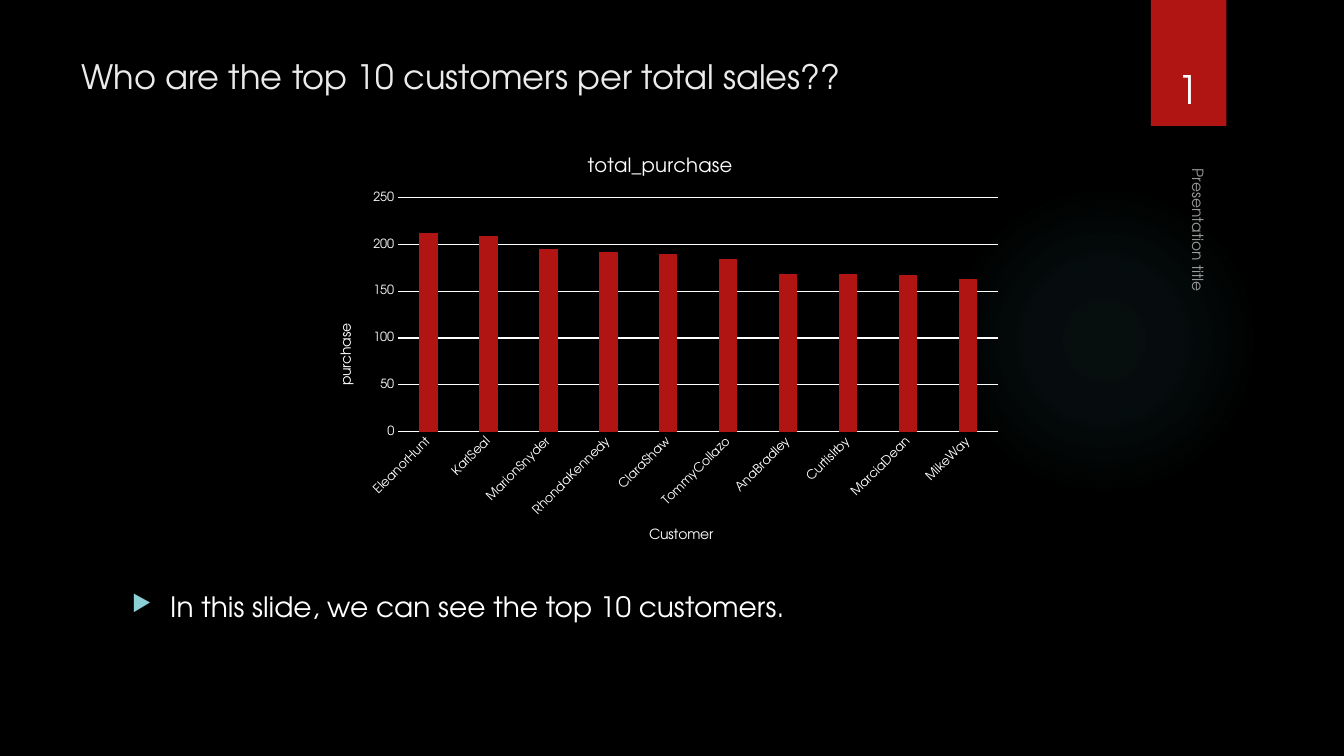
from lxml import etree
from pptx import Presentation
from pptx.chart.data import CategoryChartData
from pptx.dml.color import RGBColor
from pptx.enum.chart import XL_CHART_TYPE, XL_TICK_MARK
from pptx.enum.shapes import MSO_SHAPE
from pptx.enum.text import MSO_ANCHOR, PP_ALIGN
from pptx.oxml import parse_xml
from pptx.oxml.ns import nsdecls, qn
from pptx.util import Inches, Pt

COLUMN, NO_TICK = XL_CHART_TYPE.COLUMN_CLUSTERED, XL_TICK_MARK.NONE
RECTANGLE, OVAL = MSO_SHAPE.RECTANGLE, MSO_SHAPE.OVAL
TOP, BOTTOM = MSO_ANCHOR.TOP, MSO_ANCHOR.BOTTOM
LEFT, CENTER = PP_ALIGN.LEFT, PP_ALIGN.CENTER

FONT = "TeX Gyre Adventor"
BLACK, WHITE, PALE = "000000", "FFFFFF", "EBEBEB"
RED, TEAL, AQUA = "B01513", "50B9C1", "8AD0D6"
COLUMNS, ROWS = 80, 45

SALES = {
    "EleanorHunt": 212, "KarlSeal": 209, "MarionSnyder": 195,
    "RhondaKennedy": 192, "ClaraShaw": 190, "TommyCollazo": 184,
    "AnaBradley": 168, "CurtisIrby": 168, "MarciaDean": 167, "MikeWay": 163,
}

deck = Presentation()
deck.slide_width, deck.slide_height = Inches(13.33), Inches(7.5)


def rgb(value):
    """Turn a hex string into a colour."""
    return RGBColor.from_string(value)


def grid(column, row, columns, rows):
    """Turn grid columns and rows into a box of slide lengths."""
    across, down = deck.slide_width / COLUMNS, deck.slide_height / ROWS
    return (round(column * across), round(row * down),
            round(columns * across), round(rows * down))


def within(box, x, y, width, height):
    """Return a box given as shares of another box."""
    left, top, across, down = box
    return (round(left + x * across), round(top + y * down),
            round(width * across), round(height * down))


def style(font, size, color=WHITE):
    """Give a font the slide's typeface, a size and a colour."""
    font.name, font.size, font.bold = FONT, Pt(size), False
    font.color.rgb = rgb(color)


def write(holder, text, size, color=WHITE, anchor=TOP, align=LEFT):
    """Fill a text holder with one styled paragraph and return it."""
    frame = holder.text_frame
    frame.text = text
    frame.word_wrap, frame.vertical_anchor = True, anchor
    paragraph = frame.paragraphs[0]
    paragraph.alignment = align
    style(paragraph.runs[0].font, size, color)
    return paragraph


def add_glow(slide, box):
    """Draw the faint round glow behind the content."""
    glow = slide.shapes.add_shape(OVAL, *box)
    glow.shadow.inherit = False
    glow.line.fill.background()
    glow.fill.background()
    stops = "".join(
        f'<a:gs pos="{place * 1000}"><a:srgbClr val="{TEAL}">'
        f'<a:alpha val="{opacity * 1000}"/></a:srgbClr></a:gs>'
        for place, opacity in ((0, 7), (36, 6), (69, 0), (100, 0)))
    gradient = parse_xml(
        f'<a:gradFill {nsdecls("a")}><a:gsLst>{stops}</a:gsLst><a:path path="circle">'
        '<a:fillToRect l="50000" t="50000" r="50000" b="50000"/></a:path></a:gradFill>')
    properties = glow.element.spPr
    properties.replace(properties.find(qn("a:noFill")), gradient)


def add_side_tab(slide, box, number, footer):
    """Draw the red tab, its slide number and the sideways footer below."""
    tab = slide.shapes.add_shape(RECTANGLE, *box)
    tab.fill.solid()
    tab.fill.fore_color.rgb = rgb(RED)
    tab.line.fill.background()
    tab.shadow.inherit = False
    tab.element.spPr.find(qn("a:effectLst")).append(parse_xml(
        f'<a:outerShdw {nsdecls("a")} blurRad="{Pt(3)}" dist="{Pt(2)}" dir="5400000">'
        f'<a:srgbClr val="{BLACK}"><a:alpha val="45000"/></a:srgbClr></a:outerShdw>'))

    side_footer = slide.shapes.add_textbox(*within(box, -2.16, 2.82, 5.63, 0.26))
    side_footer.rotation = 90
    line = write(side_footer, footer, 11, anchor=BOTTOM)
    color = line.runs[0].font.fill._xPr.find(".//" + qn("a:srgbClr"))
    etree.SubElement(color, qn("a:alpha"), val="60000")

    page = slide.shapes.add_textbox(*within(box, -0.12, 0.26, 1.23, 0.67))
    write(page, number, 28, anchor=BOTTOM, align=CENTER)


def add_title(slide, box, text):
    """Place and fill the title placeholder."""
    title = slide.shapes.title
    title.left, title.top, title.width, title.height = box
    write(title, text, 24, PALE)


def add_bullet(slide, box, text):
    """Write the bulleted remark under the chart."""
    remark = write(slide.shapes.add_textbox(*box), text, 20)
    remark.space_before = Pt(10)
    settings = remark._p.get_or_add_pPr()
    settings.set("marL", str(Inches(0.38)))
    settings.set("indent", str(-Inches(0.38)))
    color = etree.SubElement(settings, qn("a:buClr"))
    etree.SubElement(color, qn("a:srgbClr"), val=AQUA)
    etree.SubElement(settings, qn("a:buSzPct"), val="80000")
    etree.SubElement(settings, qn("a:buChar"), char="\u25b6")


def set_layout(parent, index, **shares):
    """Fix a chart part's place as shares of the chart."""
    layout = parent.find(qn("c:layout"))
    if layout is None:
        layout = etree.Element(qn("c:layout"))
        parent.insert(index, layout)
    manual = etree.SubElement(layout, qn("c:manualLayout"))
    if "w" in shares:
        etree.SubElement(manual, qn("c:layoutTarget"), val="inner")
    for side in ("xMode", "yMode"):
        etree.SubElement(manual, qn("c:" + side), val="edge")
    for side, share in shares.items():
        etree.SubElement(manual, qn("c:" + side), val=str(share))


def format_axis(axis, title, x, y):
    """Style an axis and place its title."""
    axis.major_tick_mark = axis.minor_tick_mark = NO_TICK
    style(axis.tick_labels.font, 9)
    heading = axis.axis_title
    heading.text_frame.text = title
    style(heading.text_frame.paragraphs[0].runs[0].font, 10)
    set_layout(heading._element, 1, x=x, y=y)


def add_sales_chart(slide, box, series_name, sales):
    """Draw the column chart of purchases per customer."""
    data = CategoryChartData()
    data.categories = list(sales)
    data.add_series(series_name, list(sales.values()))
    chart = slide.shapes.add_chart(COLUMN, *box, data).chart
    style(chart.font, 10)
    chart.has_legend = False
    chart.has_title = True
    heading = chart.chart_title.text_frame
    heading.text = series_name
    style(heading.paragraphs[0].runs[0].font, 14)

    plot = chart.plots[0]
    plot.gap_width, plot.overlap, plot.vary_by_categories = 219, -27, False
    bars = plot.series[0].format.fill
    bars.solid()
    bars.fore_color.rgb = rgb(RED)
    set_layout(chart._chartSpace.chart.plotArea, 0, x=0.12, y=0.14, w=0.87, h=0.55)

    customers, purchases = chart.category_axis, chart.value_axis
    format_axis(customers, "Customer", 0.48, 0.91)
    format_axis(purchases, "purchase", 0.03, 0.43)
    customers._element.txPr.find(qn("a:bodyPr")).set("rot", "-2700000")
    purchases.minimum_scale, purchases.maximum_scale, purchases.major_unit = 0, 250, 50
    purchases.format.line.fill.background()
    for line in (customers.format.line, purchases.major_gridlines.format.line):
        line.color.rgb = rgb(WHITE)
        line.width = Pt(0.75)


def build_slide():
    """Build the top customers slide."""
    slide = deck.slides.add_slide(deck.slide_layouts[5])
    slide.background.fill.solid()
    slide.background.fill.fore_color.rgb = rgb(BLACK)
    add_glow(slide, grid(56.46, 11, 18.5, 18.5))
    add_side_tab(slide, grid(68.5, 0, 4.5, 7.5), "1", "Presentation title")
    add_title(slide, grid(4.26, 3, 61.74, 9.2), "Who are the top 10 customers per total sales??")
    add_bullet(slide, grid(7.26, 34.8, 58.7, 6.2),
               "In this slide, we can see the top 10 customers.")
    add_sales_chart(slide, grid(18.78, 8.22, 41.04, 25.32), "total_purchase", SALES)


build_slide()
deck.save("out.pptx")
